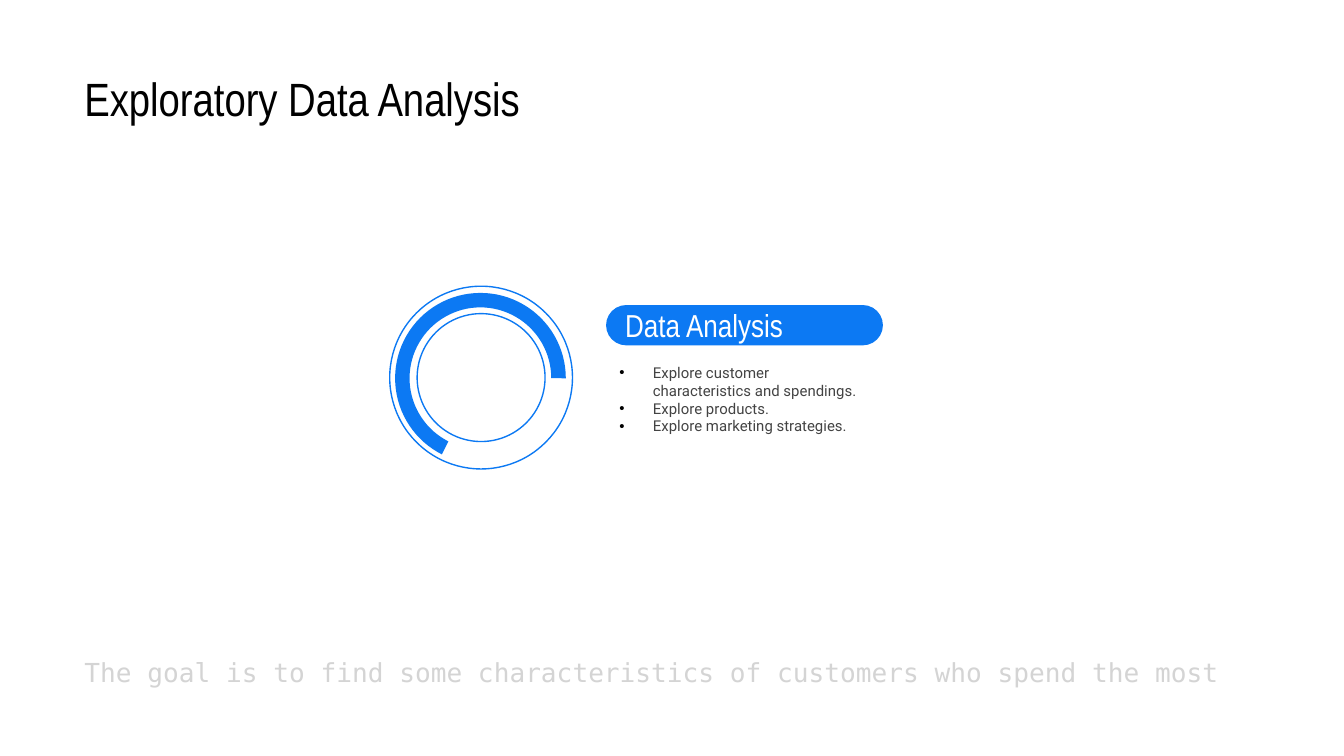
from lxml.etree import SubElement
from pptx import Presentation
from pptx.dml.color import RGBColor
from pptx.enum.shapes import MSO_SHAPE
from pptx.enum.text import MSO_ANCHOR, PP_ALIGN
from pptx.oxml.ns import qn
from pptx.util import Inches, Pt

BLUE = RGBColor(0x0C, 0x79, 0xF3)
BLACK = RGBColor(0, 0, 0)
WHITE = RGBColor(255, 255, 255)
DARK_GRAY = RGBColor(0x43, 0x43, 0x43)
LIGHT_GRAY = RGBColor(0xD4, 0xD4, 0xD4)


def write_text(shape, lines, font, size, color, inset=0.1, wrap=True, bullet=None):
    frame = shape.text_frame
    frame.word_wrap = wrap
    frame.vertical_anchor = MSO_ANCHOR.MIDDLE
    frame.margin_left = frame.margin_right = Inches(0.1)
    frame.margin_top = frame.margin_bottom = Inches(inset)
    frame.text = "\n".join(lines)
    for paragraph in frame.paragraphs:
        paragraph.alignment = PP_ALIGN.LEFT
        if bullet:
            properties = paragraph._p.get_or_add_pPr()
            properties.set("marL", str(Inches(0.25)))
            properties.set("indent", str(-Inches(0.25)))
            bullet_color = SubElement(properties, qn("a:buClr"))
            SubElement(bullet_color, qn("a:srgbClr"), val=str(BLACK))
            SubElement(properties, qn("a:buFont"), typeface="Arial")
            SubElement(properties, qn("a:buChar"), char=bullet)
        paragraph.font.name = font
        paragraph.font.size = Pt(size)
        paragraph.font.color.rgb = color


presentation = Presentation()
presentation.slide_width = Inches(10)
presentation.slide_height = Inches(10 * 9 / 16)
slide = presentation.slides.add_slide(presentation.slide_layouts[6])
shapes = slide.shapes

title = shapes.add_textbox(Inches(0.53), Inches(0.46), Inches(8.97), Inches(0.53))
write_text(title, ["Exploratory Data Analysis"], font="Arial Narrow", size=25, color=BLACK)

ring = shapes.add_shape(MSO_SHAPE.DONUT, Inches(2.9), Inches(2.13), Inches(1.36), Inches(1.36))
ring.adjustments[0] = 0.15
ring.fill.background()
ring.line.color.rgb = BLUE
ring.line.width = Pt(0.75)

arc = shapes.add_shape(MSO_SHAPE.BLOCK_ARC, Inches(2.94), Inches(2.18), Inches(1.27), Inches(1.27))
for index, value in enumerate((70.14, 216, 0.085)):
    arc.adjustments[index] = value

details = shapes.add_textbox(Inches(4.51), Inches(2.59), Inches(2.06), Inches(0.76))
write_text(
    details,
    [
        "Explore customer characteristics and spendings.",
        "Explore products.",
        "Explore marketing strategies.",
    ],
    font="Roboto", size=8, color=DARK_GRAY, bullet="•",
)

heading = shapes.add_shape(
    MSO_SHAPE.ROUNDED_RECTANGLE, Inches(4.51), Inches(2.27), Inches(2.06), Inches(0.3)
)
heading.adjustments[0] = 0.5
write_text(heading, ["Data Analysis"], font="Arial Narrow", size=17, color=WHITE)

for shape in (arc, heading):
    shape.fill.solid()
    shape.fill.fore_color.rgb = BLUE
    shape.line.fill.background()
for shape in (ring, arc, heading):
    shape.shadow.inherit = False

goal = shapes.add_textbox(Inches(0.53), Inches(4.83), Inches(8.66), Inches(0.34))
write_text(
    goal,
    ["The goal is to find some characteristics of customers who spend the most"],
    font="DejaVu Sans Mono", size=14, color=LIGHT_GRAY, inset=0.05, wrap=False,
)

presentation.save("out.pptx")
